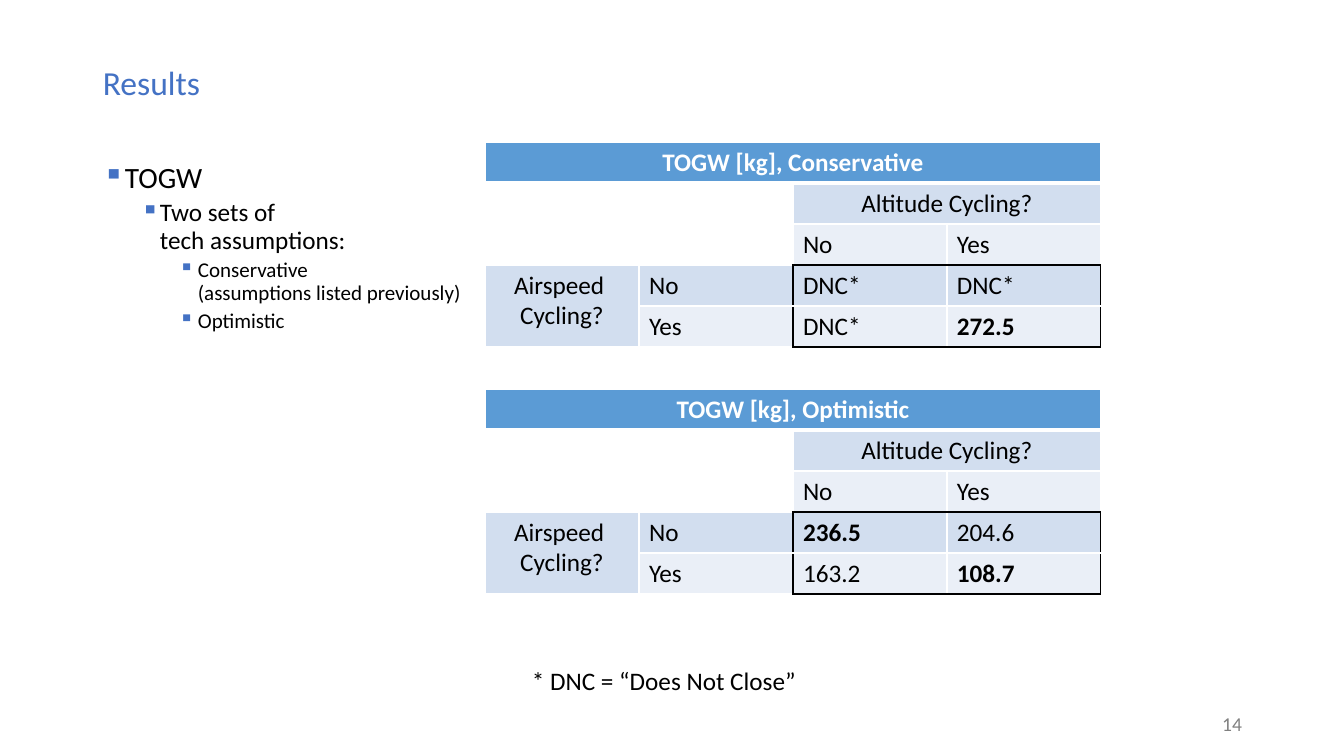
import copy
from dataclasses import dataclass

import pptx
import pptx.dml.color
import pptx.enum.text
import pptx.oxml
import pptx.oxml.ns
import pptx.util
from lxml import etree

EMU_PER_PX = 914400 / 100.8
ALIGN = pptx.enum.text.PP_ALIGN
ANCHOR = pptx.enum.text.MSO_ANCHOR


def px(length):
    return pptx.util.Emu(round(length * EMU_PER_PX))


def rgb(color):
    return pptx.dml.color.RGBColor.from_string(color)


def add_element(parent, tag, **attributes):
    return etree.SubElement(parent, pptx.oxml.ns.qn(tag), attributes)


@dataclass(frozen=True)
class Theme:
    font: str = "Calibri"
    accent: str = "4472C4"
    text: str = "000000"
    muted: str = "808080"
    white: str = "FFFFFF"
    header: str = "5B9BD5"
    band_dark: str = "D2DEEF"
    band_light: str = "EAEFF7"
    title_size: int = 24
    level_sizes: tuple = (21, 18, 15)
    level_gaps: tuple = (7.5, 3.8, 3.8)
    body_size: int = 18
    number_size: int = 14


class ResultsSlide:
    ROWS, COLUMNS = 5, 4
    COLUMN_WIDTH, ROW_HEIGHT = 154, 41
    SIDES = {"a:lnL": (0, -1), "a:lnR": (0, 1), "a:lnT": (-1, 0), "a:lnB": (1, 0)}

    def __init__(self, deck, theme):
        self.theme = theme
        self.page = deck.slides.add_slide(deck.slide_layouts[6])

    def style(self, para, size, color, bold=False):
        for span in para.runs:
            span.font.name = self.theme.font
            span.font.size = pptx.util.Pt(size)
            span.font.color.rgb = rgb(color)
            span.font.bold = bold
        # A line break takes the run style, so that it keeps the line height.
        for line_break in para._p.findall(pptx.oxml.ns.qn("a:br")):
            line_break.insert(0, copy.deepcopy(para.runs[0]._r.rPr))

    def frame(self, left, top, width, height, anchor=ANCHOR.TOP):
        box = self.page.shapes.add_textbox(px(left), px(top), px(width), px(height))
        box.text_frame.word_wrap = True
        box.text_frame.vertical_anchor = anchor
        return box.text_frame

    def label(self, text, place, size, color, align=ALIGN.LEFT, anchor=ANCHOR.MIDDLE):
        para = self.frame(*place, anchor).paragraphs[0]
        para.text = text
        para.alignment = align
        self.style(para, size, color)

    def bullets(self, items, place):
        """Add a list of (level, text) items."""
        frame = self.frame(*place)
        for index, (level, text) in enumerate(items):
            para = frame.add_paragraph() if index else frame.paragraphs[0]
            para.text = text
            para.level = level
            para.line_spacing = 0.9
            if index:
                para.space_before = pptx.util.Pt(self.theme.level_gaps[level])
            properties = para._p.get_or_add_pPr()
            properties.set("marL", str(px(19 + 38 * level)))
            properties.set("indent", str(px(-19)))
            bullet_color = add_element(properties, "a:buClr")
            add_element(bullet_color, "a:srgbClr", val=self.theme.accent)
            add_element(properties, "a:buChar", char="▪")
            self.style(para, self.theme.level_sizes[level], self.theme.text)

    def borders(self, cell, row, column):
        """Draw white grid lines, and black ones around the block of results."""
        def in_block(r, c):
            return r in (3, 4) and c in (2, 3)

        for tag, (down, right) in self.SIDES.items():
            outline = in_block(row, column) != in_block(row + down, column + right)
            below_header = {row, row + down} == {0, 1}
            width = pptx.util.Pt(3 if below_header else 1)
            line = add_element(cell._tc.get_or_add_tcPr(), tag, w=str(width))
            fill = add_element(line, "a:solidFill")
            color = self.theme.text if outline else self.theme.white
            add_element(fill, "a:srgbClr", val=color)

    def cell_fill(self, row, column):
        if row == 0:
            return self.theme.header
        if row < 3 and column < 2:
            return self.theme.white
        return self.theme.band_dark if row % 2 else self.theme.band_light

    def results_table(self, case, results, bold, left, top):
        """Add a 2 by 2 table of results; bold holds the values to stress."""
        table = self.page.shapes.add_table(
            self.ROWS, self.COLUMNS, px(left), px(top),
            px(self.COLUMNS * self.COLUMN_WIDTH), px(self.ROWS * self.ROW_HEIGHT)).table
        for column in table.columns:
            column.width = px(self.COLUMN_WIDTH)
        for row in table.rows:
            row.height = px(self.ROW_HEIGHT)
        heading = f"TOGW [kg], {case}"
        texts = [
            [heading, "", "", ""],
            ["", "", "Altitude Cycling?", ""],
            ["", "", "No", "Yes"],
            ["Airspeed \nCycling?", "No", *results[0]],
            ["", "Yes", *results[1]],
        ]
        centered = {(0, 0), (1, 2), (3, 0)}
        for row, row_texts in enumerate(texts):
            for column, text in enumerate(row_texts):
                cell = table.cell(row, column)
                self.borders(cell, row, column)
                cell.fill.solid()
                cell.fill.fore_color.rgb = rgb(self.cell_fill(row, column))
                if not text:
                    continue
                para = cell.text_frame.paragraphs[0]
                para.text = text
                para.alignment = ALIGN.CENTER if (row, column) in centered else ALIGN.LEFT
                color = self.theme.text if row else self.theme.white
                self.style(para, self.theme.body_size, color, row == 0 or text in bold)
        for first, last in [((0, 0), (0, 3)), ((1, 0), (2, 1)),
                            ((1, 2), (1, 3)), ((3, 0), (4, 0))]:
            table.cell(*first).merge(table.cell(*last))


def main():
    deck = pptx.Presentation()
    deck.slide_width, deck.slide_height = px(1344), px(756)
    theme = Theme()
    slide = ResultsSlide(deck, theme)

    slide.label("Results", (93, 40, 933, 84), theme.title_size, theme.accent)
    slide.bullets([
        (0, "TOGW"),
        (1, "Two sets of \ntech assumptions:"),
        (2, "Conservative \n(assumptions listed previously)"),
        (2, "Optimistic"),
    ], (93, 158, 1159, 523))
    slide.label("14", (950, 707, 302, 34), theme.number_size, theme.muted, ALIGN.RIGHT)
    slide.results_table("Conservative", [["DNC*", "DNC*"], ["DNC*", "272.5"]],
                        {"272.5"}, 485, 142)
    slide.label("* DNC = “Does Not Close”", (522, 660, 579, 40),
                theme.body_size, theme.text, anchor=ANCHOR.TOP)
    slide.results_table("Optimistic", [["236.5", "204.6"], ["163.2", "108.7"]],
                        {"236.5", "108.7"}, 485, 389)
    deck.save("out.pptx")


if __name__ == "__main__":
    main()
